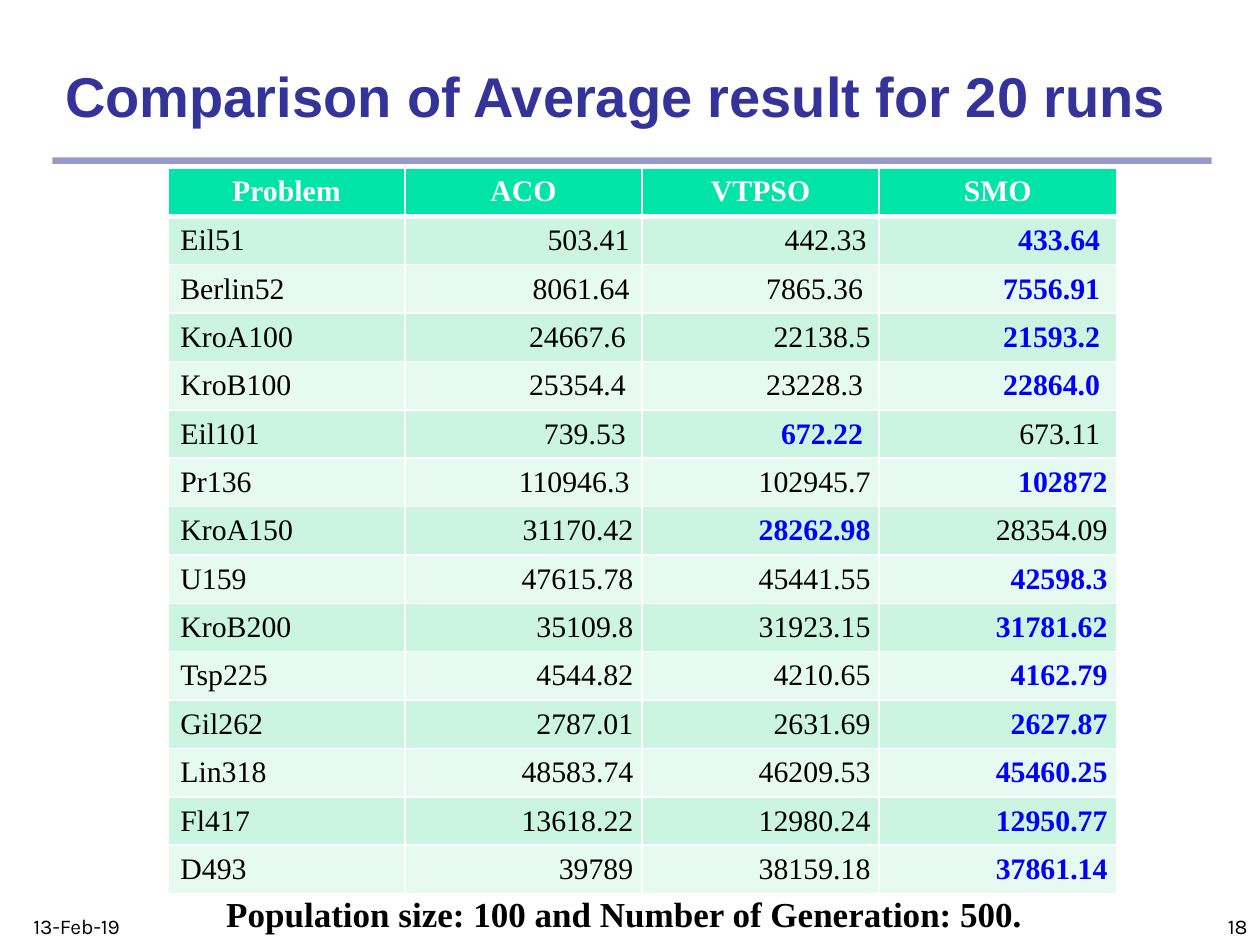
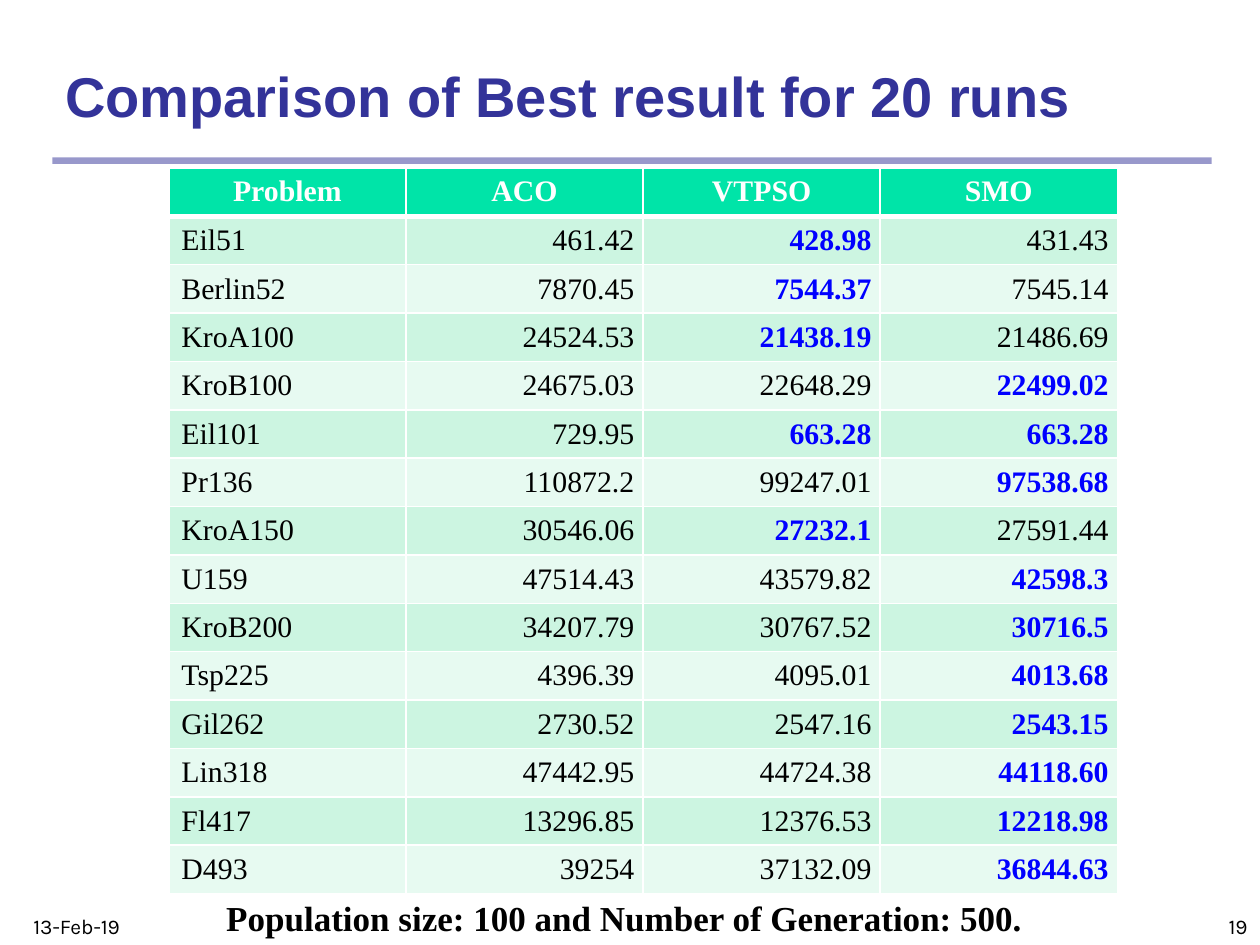
"""Build two slides that compare ACO, VTPSO and SMO over 20 runs."""
from dataclasses import dataclass

from lxml import etree
from pptx import Presentation
from pptx.dml.color import RGBColor
from pptx.enum import shapes, text
from pptx.oxml import ns
from pptx.util import Pt

HEADS = ("Problem", "ACO", "VTPSO", "SMO")
NOTE = "Population size: 100 and Number of Generation: 500."
DATE = "13-Feb-19"
FIRST = 18

MEANS = [
    ("Eil51", "503.41", "442.33", "433.64 "),
    ("Berlin52", "8061.64", "7865.36 ", "7556.91 "),
    ("KroA100", "24667.6 ", "22138.5", "21593.2 "),
    ("KroB100", "25354.4 ", "23228.3 ", "22864.0 "),
    ("Eil101", "739.53 ", "672.22 ", "673.11 "),
    ("Pr136", "110946.3", "102945.7", "102872"),
    ("KroA150", "31170.42", "28262.98", "28354.09"),
    ("U159", "47615.78", "45441.55", "42598.3"),
    ("KroB200", "35109.8", "31923.15", "31781.62"),
    ("Tsp225", "4544.82", "4210.65", "4162.79"),
    ("Gil262", "2787.01", "2631.69", "2627.87"),
    ("Lin318", "48583.74", "46209.53", "45460.25"),
    ("Fl417", "13618.22", "12980.24", "12950.77"),
    ("D493", "39789", "38159.18", "37861.14"),
]
BESTS = [
    ("Eil51", "461.42", "428.98", "431.43"),
    ("Berlin52", "7870.45", "7544.37", "7545.14"),
    ("KroA100", "24524.53", "21438.19", "21486.69"),
    ("KroB100", "24675.03", "22648.29", "22499.02"),
    ("Eil101", "729.95", "663.28", "663.28"),
    ("Pr136", "110872.2", "99247.01", "97538.68"),
    ("KroA150", "30546.06", "27232.1", "27591.44"),
    ("U159", "47514.43", "43579.82", "42598.3"),
    ("KroB200", "34207.79", "30767.52", "30716.5"),
    ("Tsp225", "4396.39", "4095.01", "4013.68"),
    ("Gil262", "2730.52", "2547.16", "2543.15"),
    ("Lin318", "47442.95", "44724.38", "44118.60"),
    ("Fl417", "13296.85", "12376.53", "12218.98"),
    ("D493", "39254", "37132.09", "36844.63"),
]
SLIDES = [
    dict(title="Comparison of Average result for 20 runs", rows=MEANS, wide=648,
         left=95.9, head=21, note_top=506.2, loose={(1, 1), (1, 2), (2, 1), (6, 1)}),
    dict(title="Comparison of Best result for 20 runs", rows=BESTS, wide=613.5,
         left=96.5, head=27, note_top=508.5, loose=set()),
]


@dataclass(frozen=True)
class Theme:
    navy: str = "333399"
    green: str = "00E4A8"
    bands: tuple = ("CCF5E1", "E7FAF1")
    white: str = "FFFFFF"
    black: str = "000000"
    blue: str = "0000FF"
    sans: str = "Arial"
    serif: str = "Times New Roman"
    small: str = "Karla"
    title_size: int = 32
    note_size: int = 20
    cell_size: int = 17
    foot_size: int = 12


T = Theme()
LEFT, CENTER, RIGHT = (text.PP_ALIGN.LEFT, text.PP_ALIGN.CENTER, text.PP_ALIGN.RIGHT)
TOP, MIDDLE, BOTTOM = (text.MSO_ANCHOR.TOP, text.MSO_ANCHOR.MIDDLE, text.MSO_ANCHOR.BOTTOM)
COL, ROW, TABLE_TOP = 135.5, 27, 96


def write(frame, words, font=T.serif, size=T.cell_size, color=T.black,
          bold=False, align=LEFT):
    line = frame.paragraphs[0]
    line.alignment = align
    run = line.add_run()
    run.text = words
    run.font.name, run.font.size, run.font.bold = font, Pt(size), bold
    run.font.color.rgb = RGBColor.from_string(color)


def paint(fill, color):
    fill.solid()
    fill.fore_color.rgb = RGBColor.from_string(color)


def label(slide, box, words, anchor=BOTTOM, **style):
    frame = slide.shapes.add_textbox(*map(Pt, box)).text_frame
    frame.word_wrap = True
    frame.vertical_anchor = anchor
    write(frame, words, **style)


def edge(cell, base):
    props = cell._tc.get_or_add_tcPr()
    for side, width in zip("LRTB", (1, 1, 1, base)):
        line = etree.SubElement(props, ns.qn(f"a:ln{side}"), w=str(Pt(width)))
        solid = etree.SubElement(line, ns.qn("a:solidFill"))
        etree.SubElement(solid, ns.qn("a:srgbClr"), val=T.white)


def add_title(slide, words, wide):
    title = slide.shapes.title
    title.left, title.top, title.width, title.height = map(Pt, (30, 36, wide, 41))
    frame = title.text_frame
    frame.auto_size = text.MSO_AUTO_SIZE.NONE
    frame.vertical_anchor = BOTTOM
    write(frame, words, font=T.sans, size=T.title_size, color=T.navy, bold=True)


def add_rule(slide):
    rule = slide.shapes.add_shape(shapes.MSO_SHAPE.RECTANGLE, *map(Pt, (30, 90, 662.4, 3.75)))
    rule.shadow.inherit = False
    rule.line.fill.background()
    paint(rule.fill, T.navy)
    tint = rule.element.spPr.find(".//" + ns.qn("a:srgbClr"))
    etree.SubElement(tint, ns.qn("a:alpha"), val="50000")


def add_grid(slide, rows, left, head, loose):
    high = head + ROW * len(rows)
    box = map(Pt, (left, TABLE_TOP, COL * len(HEADS), high))
    grid = slide.shapes.add_table(len(rows) + 1, len(HEADS), *box).table
    grid.horz_banding = False
    for col in grid.columns:
        col.width = Pt(COL)
    for r, row in enumerate([HEADS, *rows]):
        grid.rows[r].height = Pt(ROW if r else head)
        least = min(map(float, row[1:])) if r else None
        for c, words in enumerate(row):
            cell = grid.cell(r, c)
            edge(cell, 1 if r else 3)
            paint(cell.fill, T.bands[(r - 1) % 2] if r else T.green)
            if not r:
                write(cell.text_frame, words, color=T.white, bold=True, align=CENTER)
                continue
            cell.vertical_anchor = MIDDLE
            if c and (r, c) not in loose:
                cell.margin_left = cell.margin_right = Pt(5)
                cell.margin_top = cell.margin_bottom = 0
            best = c > 0 and float(words) == least
            write(cell.text_frame, words, color=T.blue if best else T.black,
                  bold=best, align=RIGHT if c else LEFT)


def add_slide(deck, page, title, rows, wide, left, head, note_top, loose):
    slide = deck.slides.add_slide(deck.slide_layouts[5])
    add_rule(slide)
    add_title(slide, title, wide)
    foot = dict(font=T.small, size=T.foot_size)
    label(slide, (570, 504, 150, 36), str(page), align=RIGHT, **foot)
    add_grid(slide, rows, left, head, loose)
    label(slide, (18, note_top, 677.5, 31.5), NOTE, anchor=TOP,
          size=T.note_size, bold=True, align=CENTER)
    label(slide, (12, 498, 150, 42), DATE, **foot)


def main():
    deck = Presentation()
    deck.slide_width, deck.slide_height = Pt(720), Pt(540)
    for page, parts in enumerate(SLIDES, FIRST):
        add_slide(deck, page, **parts)
    deck.save("out.pptx")


if __name__ == "__main__":
    main()
